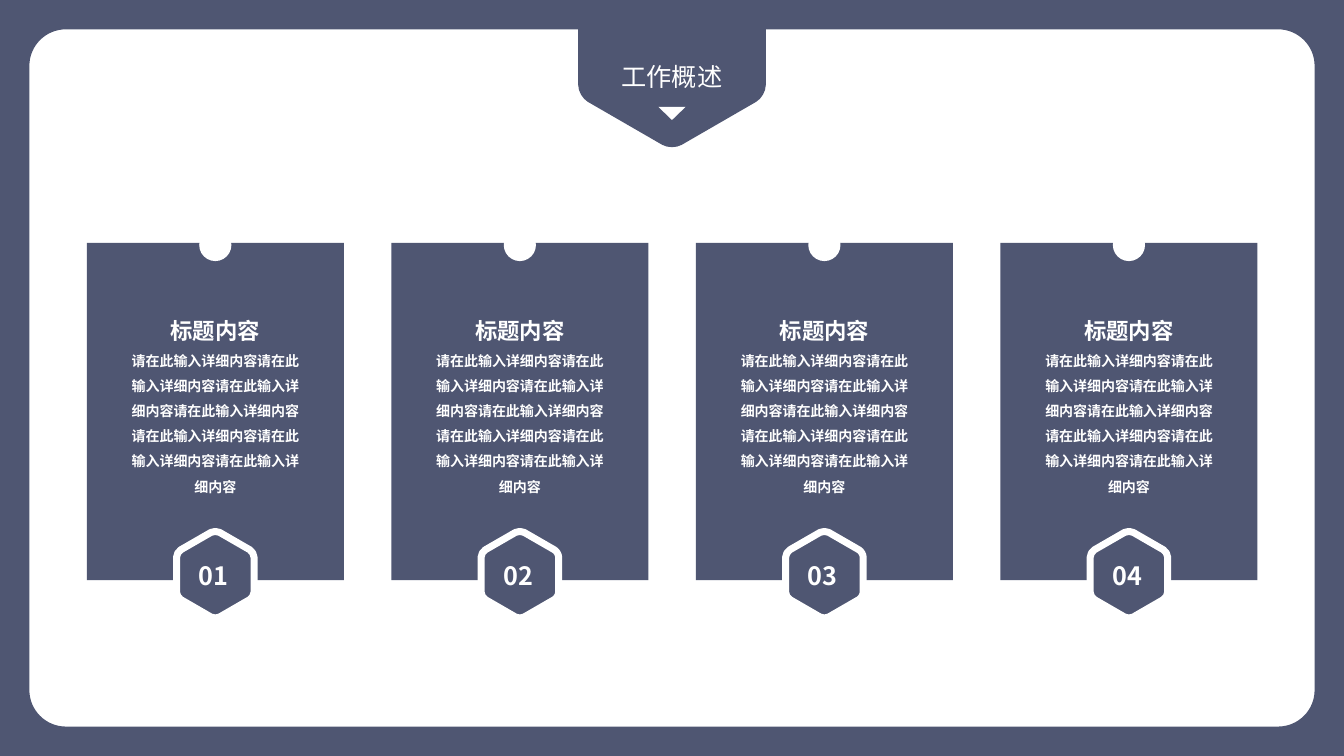
from collections import namedtuple
from math import cos, dist, pi, sin

from lxml.etree import SubElement
from pptx import Presentation
from pptx.dml.color import RGBColor
from pptx.enum.shapes import MSO_SHAPE as Shape
from pptx.enum.text import MSO_ANCHOR as Anchor, MSO_AUTO_SIZE as AutoSize, PP_ALIGN as Align
from pptx.oxml.ns import qn
from pptx.util import Pt

Box = namedtuple("Box", "left top width height")

NAVY, WHITE = "4F5672", "FFFFFF"
FONT = "Noto Sans CJK SC"
HEADING = "标题内容"
DETAIL = "请在此输入详细内容" * 7
CARD_COUNT = 4
ROUNDNESS = 0.55


def color(hex_code):
    return RGBColor.from_string(hex_code)


def paint(shape, fill, line=None, line_width=0):
    shape.shadow.inherit = False
    shape.fill.solid()
    shape.fill.fore_color.rgb = color(fill)
    if line:
        shape.line.color.rgb = color(line)
        shape.line.width = Pt(line_width)
    else:
        shape.line.fill.background()
    return shape


def add_preset(shapes, kind, box, fill):
    return paint(shapes.add_shape(kind, *map(Pt, box)), fill)


def corners_of(box):
    right, bottom = box.left + box.width, box.top + box.height
    return [(box.left, box.top), (right, box.top), (right, bottom), (box.left, bottom)]


def hexagon(center_x, center_y, radius):
    return [(center_x + radius * sin(k * pi / 3), center_y - radius * cos(k * pi / 3))
            for k in range(6)]


def toward(start, end, share):
    return tuple(s + (e - s) * share for s, e in zip(start, end))


def add_rounded(shapes, corners, cut, border=None):
    """Draw a polygon with curved corners, as a hole when a border is given."""
    points = []
    for i, corner in enumerate(corners):
        for near in (corners[i - 1], corners[(i + 1) % len(corners)]):
            points.append(toward(corner, near, cut / dist(corner, near)))
    first, *rest = [(Pt(x), Pt(y)) for x, y in points]
    builder = shapes.build_freeform(*first)
    builder.add_line_segments(rest, close=True)
    if border:
        first, *rest = [(Pt(x), Pt(y)) for x, y in border]
        builder.move_to(*first)
        builder.add_line_segments(rest, close=True)
    shape = builder.convert_to_shape()

    # Turn the straight cut at each corner into a curve
    cuts = list(shape._element.iter(qn("a:lnTo")))[::2]
    for corner, start, end, segment in zip(corners, points[::2], points[1::2], cuts):
        segment.tag = qn("a:cubicBezTo")
        for index, near in enumerate((start, end)):
            x, y = toward(near, corner, ROUNDNESS)
            control = SubElement(segment, qn("a:pt"))
            control.set("x", str(Pt(x) - shape.left))
            control.set("y", str(Pt(y) - shape.top))
            segment.insert(index, control)
    return shape


def style(para, size, bold=False, align=Align.CENTER, spacing=None):
    para.alignment = align
    para.line_spacing = spacing
    font = para.font
    font.size, font.bold, font.name = Pt(size), bold, FONT
    font.color.rgb = color(WHITE)
    SubElement(font._element, qn("a:ea")).set("typeface", FONT)


def add_text(shapes, box, text, wrap=True):
    frame = shapes.add_textbox(*map(Pt, box)).text_frame
    frame.word_wrap = wrap
    frame.auto_size = AutoSize.SHAPE_TO_FIT_TEXT
    frame.text = text
    return frame.paragraphs


def add_frame(shapes, box):
    margin = 21
    inner = Box(box.left + margin, box.top + margin,
                box.width - 2 * margin, box.height - 2 * margin)
    paint(add_rounded(shapes, corners_of(inner), 26, corners_of(box)[::-1]), NAVY)


def add_card(shapes, box, number):
    center = box.left + box.width / 2
    badge_y = box.top + box.height - 4

    # Panel and numbered badge
    add_preset(shapes, Shape.RECTANGLE, box, NAVY)
    paint(add_rounded(shapes, hexagon(center, badge_y, 32), 3.6), NAVY, WHITE, 5)
    label, = add_text(shapes, Box(center - 19, badge_y - 14, 38, 29), f"{number:02}", wrap=False)
    style(label, 18, bold=True, align=Align.LEFT)

    # Heading and detail
    heading, detail = add_text(shapes, Box(center - 71, box.top + 39.6, 142, 145.4),
                               f"{HEADING}\n{DETAIL}")
    style(heading, 16, bold=True, spacing=1.5)
    style(detail, 10, bold=True, spacing=1.5)

    # Notch at the top edge
    add_preset(shapes, Shape.OVAL, Box(center - 11.5, box.top - 10, 23, 23), WHITE)


def add_cards(shapes, box):
    width = 183.6
    pitch = (box.width - width) / (CARD_COUNT - 1)
    for i in range(CARD_COUNT):
        group = shapes.add_group_shape()
        add_card(group.shapes, Box(box.left + i * pitch, box.top, width, box.height), i + 1)


def add_banner(shapes, box, text):
    center = box.left + box.width / 2
    radius = box.width / 2 / cos(pi / 6)
    outline = hexagon(center, box.top + box.height - radius, radius)
    paint(add_rounded(shapes, outline, 8), NAVY)

    # Title, raised above the banner
    title = shapes.title
    title.left, title.top, title.width, title.height = map(
        Pt, (center - 52.5, box.top + 40, 105, 29))
    frame = title.text_frame
    frame.text = text
    frame.word_wrap = True
    frame.auto_size = AutoSize.NONE
    frame.vertical_anchor = Anchor.TOP
    style(frame.paragraphs[0], 18)
    shapes._spTree.append(title._element)

    # Pointer
    pointer = Box(center - 9.75, box.top + 76.3, 19.5, 9.4)
    add_preset(shapes, Shape.ISOSCELES_TRIANGLE, pointer, WHITE).rotation = 180


def main():
    deck = Presentation()
    deck.slide_width, deck.slide_height = Pt(960), Pt(540)
    shapes = deck.slides.add_slide(deck.slide_layouts[5]).shapes
    add_frame(shapes, Box(0, 0, 960, 540))
    add_cards(shapes, Box(62, 173.5, 836.2, 241))
    add_banner(shapes, Box(413, 0, 134, 107.5), "工作概述")
    deck.save("out.pptx")


if __name__ == "__main__":
    main()
